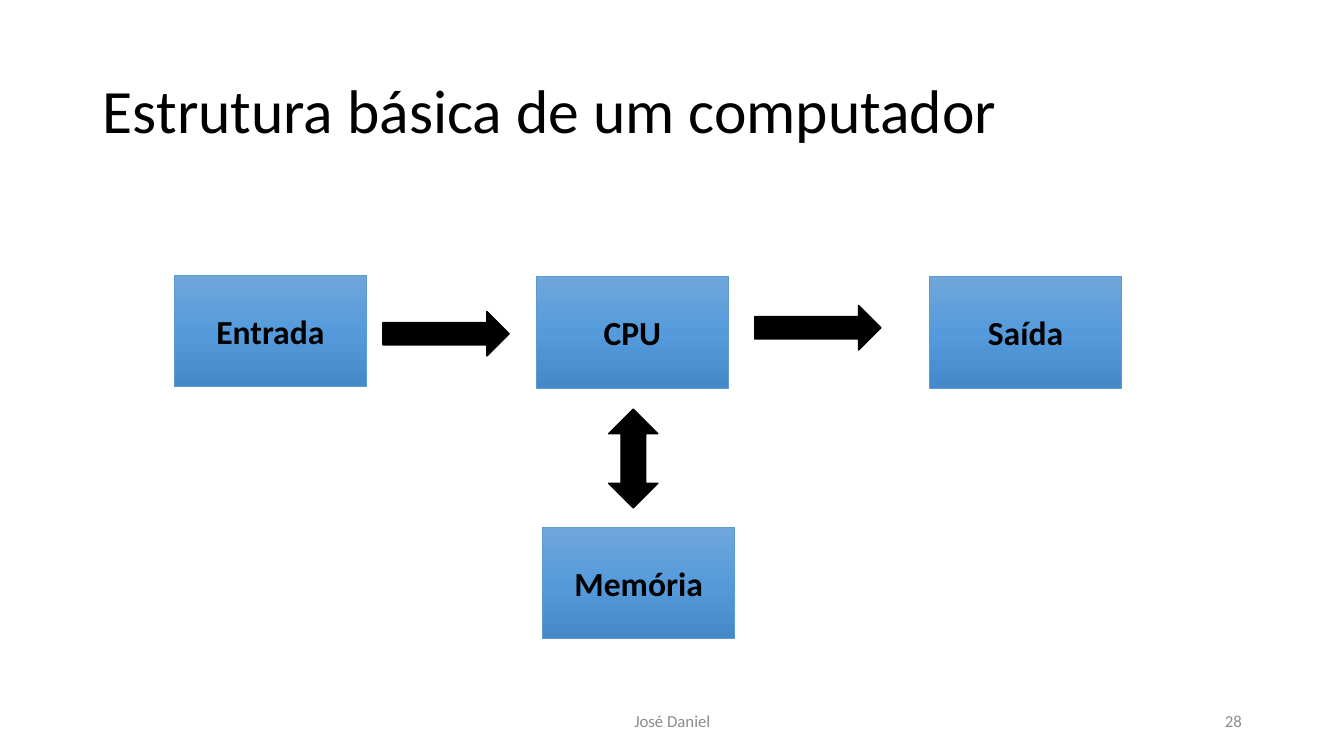
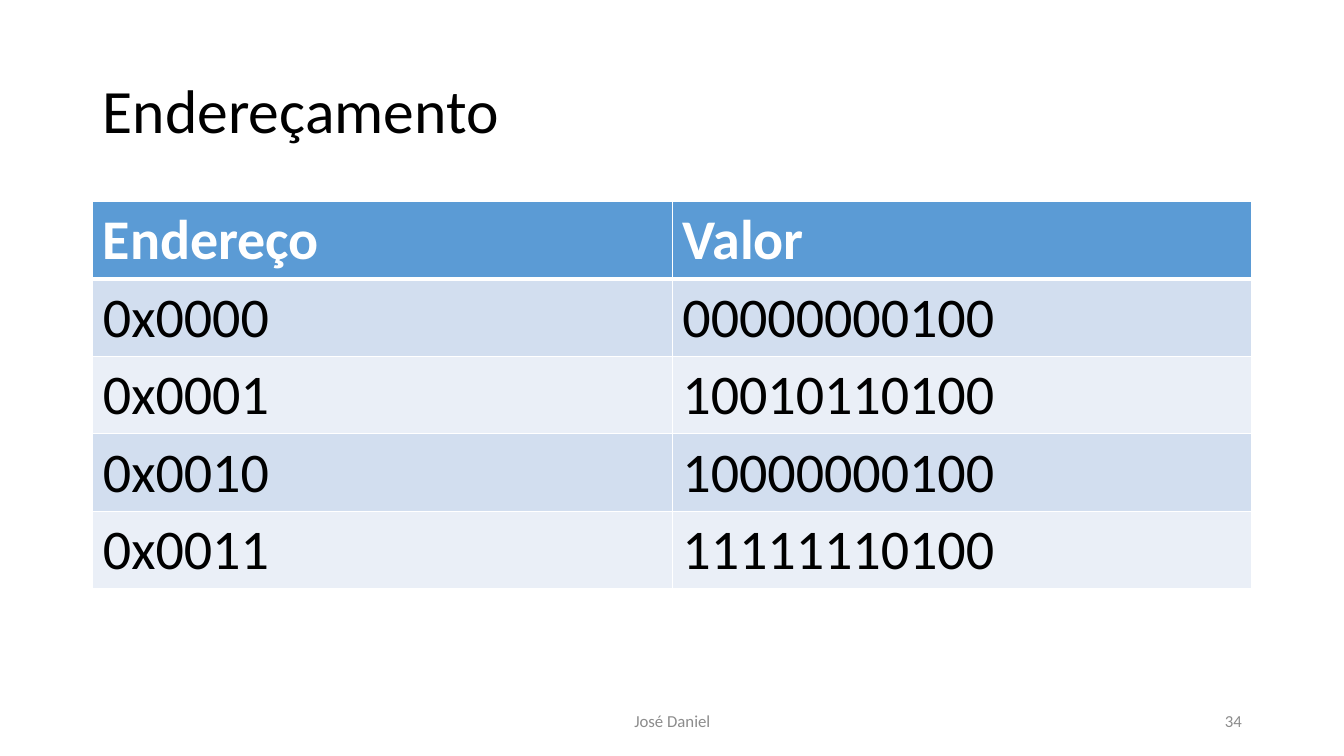
from copy import deepcopy

from lxml import etree
from pptx import Presentation
from pptx.dml.color import RGBColor
from pptx.enum.shapes import MSO_SHAPE
from pptx.enum.text import MSO_ANCHOR, PP_ALIGN
from pptx.oxml.ns import qn
from pptx.util import Cm, Pt

LEFT, CENTER, RIGHT = PP_ALIGN.LEFT, PP_ALIGN.CENTER, PP_ALIGN.RIGHT
MIDDLE = MSO_ANCHOR.MIDDLE
RECTANGLE = MSO_SHAPE.RECTANGLE
RIGHT_ARROW = MSO_SHAPE.RIGHT_ARROW
UP_DOWN_ARROW = MSO_SHAPE.UP_DOWN_ARROW

FONT = "Calibri"
AUTHOR = "José Daniel"
TITLE_ONLY = 5
COLORS = {
    "text": "000000",
    "white": "FFFFFF",
    "footer": "8C8C8C",
    "accent": "5B9BD5",
    "band_dark": "D2DEEF",
    "band_light": "EAEFF7",
    "block_top": "71A6DB",
    "block_middle": "559BDB",
    "block_bottom": "448ACA",
}
BLOCK_STOPS = ((0, "block_top"), (0.5, "block_middle"), (1, "block_bottom"))
BLOCKS = (
    ("Entrada", 4.39, 6.93),
    ("CPU", 13.51, 6.96),
    ("Saída", 23.42, 6.96),
    ("Memória", 13.67, 13.28),
)
ARROWS = (
    (RIGHT_ARROW, 9.65, 7.85, 3.18, 1.12),
    (RIGHT_ARROW, 19.02, 7.7, 3.18, 1.12),
    (UP_DOWN_ARROW, 15.34, 10.31, 1.24, 2.49),
)
MEMORY_ROWS = (
    ("Endereço", "Valor"),
    ("0x0000", "00000000100"),
    ("0x0001", "10010110100"),
    ("0x0010", "10000000100"),
    ("0x0011", "11111110100"),
)


def color(name):
    """Return a named colour of the palette."""
    return RGBColor.from_string(COLORS[name])


def write(frame, text, size, color_name, align=LEFT, bold=False):
    """Write one formatted paragraph into a text frame and return it."""
    frame.word_wrap = True
    frame.vertical_anchor = MIDDLE
    para = frame.paragraphs[0]
    para.text = text
    para.alignment = align
    para.font.name = FONT
    para.font.size = Pt(size)
    para.font.bold = bold
    para.font.color.rgb = color(color_name)
    return para


def add_footer(page, text, left, width, align):
    """Add one text of the footer line."""
    box = page.shapes.add_textbox(Cm(left), Cm(17.65), Cm(width), Cm(1.02))
    write(box.text_frame, text, 12, "footer", align)


def add_page(deck, title, number):
    """Add a page with its title, author and page number."""
    page = deck.slides.add_slide(deck.slide_layouts[TITLE_ONLY])
    heading = page.shapes.title
    heading.left, heading.top = Cm(2.34), Cm(1.02)
    heading.width, heading.height = Cm(29.21), Cm(3.68)
    para = write(heading.text_frame, title, 44, "text")
    para.line_spacing = 0.9
    add_footer(page, AUTHOR, 11.23, 11.43, CENTER)
    add_footer(page, str(number), 23.93, 7.62, RIGHT)
    return page


def add_outlined(page, kind, left, top, width, height, line_name, line_width):
    """Add a preset shape with an outline and no shadow."""
    shape = page.shapes.add_shape(kind, Cm(left), Cm(top), Cm(width), Cm(height))
    shape.shadow.inherit = False
    shape.line.color.rgb = color(line_name)
    shape.line.width = Pt(line_width)
    return shape


def add_block(page, label, left, top):
    """Add a labelled computer unit with a vertical gradient."""
    block = add_outlined(page, RECTANGLE, left, top, 4.85, 2.82, "accent", 0.5)
    block.fill.gradient()
    block.fill.gradient_angle = 270
    stop_list = next(block.element.iter(qn("a:gsLst")))
    stop_list.append(deepcopy(stop_list[0]))
    for stop, (position, name) in zip(block.fill.gradient_stops, BLOCK_STOPS):
        stop.position = position
        stop.color.rgb = color(name)
    write(block.text_frame, label, 24, "text", CENTER, bold=True)


def add_arrow(page, kind, left, top, width, height):
    """Add a solid block arrow."""
    arrow = add_outlined(page, kind, left, top, width, height, "text", 1)
    arrow.fill.solid()
    arrow.fill.fore_color.rgb = color("text")


def set_borders(cell, bottom_width):
    """Give a cell white borders, with its own width at the bottom."""
    properties = cell._tc.get_or_add_tcPr()
    for side in ("lnL", "lnR", "lnT", "lnB"):
        width = bottom_width if side == "lnB" else 1
        border = etree.SubElement(properties, qn(f"a:{side}"), w=str(Pt(width)))
        fill = etree.SubElement(border, qn("a:solidFill"))
        etree.SubElement(fill, qn("a:srgbClr"), val=COLORS["white"])


def fill_cell(cell, text, row_index):
    """Style a cell as a header or as part of a colour band."""
    header = row_index == 0
    band = "band_dark" if row_index % 2 else "band_light"
    set_borders(cell, 3 if header else 1)
    cell.fill.solid()
    cell.fill.fore_color.rgb = color("accent" if header else band)
    text_color = "white" if header else "text"
    write(cell.text_frame, text, 40, text_color, bold=header)


def add_table(page, rows):
    """Add a banded table with equal columns and rows."""
    row_height = Cm(1.95)
    frame = page.shapes.add_table(
        len(rows), len(rows[0]), Cm(2.34), Cm(5.08), Cm(29.21), row_height * len(rows)
    )
    for row_index, values in enumerate(rows):
        for column_index, value in enumerate(values):
            fill_cell(frame.table.cell(row_index, column_index), value, row_index)


def add_structure_page(deck):
    """Add the diagram of the basic computer units."""
    page = add_page(deck, "Estrutura básica de um computador", 28)
    for block in BLOCKS:
        add_block(page, *block)
    for arrow in ARROWS:
        add_arrow(page, *arrow)


def add_addressing_page(deck):
    """Add the table of memory addresses and values."""
    page = add_page(deck, "Endereçamento", 34)
    add_table(page, MEMORY_ROWS)


def main():
    """Build and save the deck."""
    deck = Presentation()
    deck.slide_width, deck.slide_height = Cm(33.87), Cm(19.05)
    add_structure_page(deck)
    add_addressing_page(deck)
    deck.save("out.pptx")


main()
